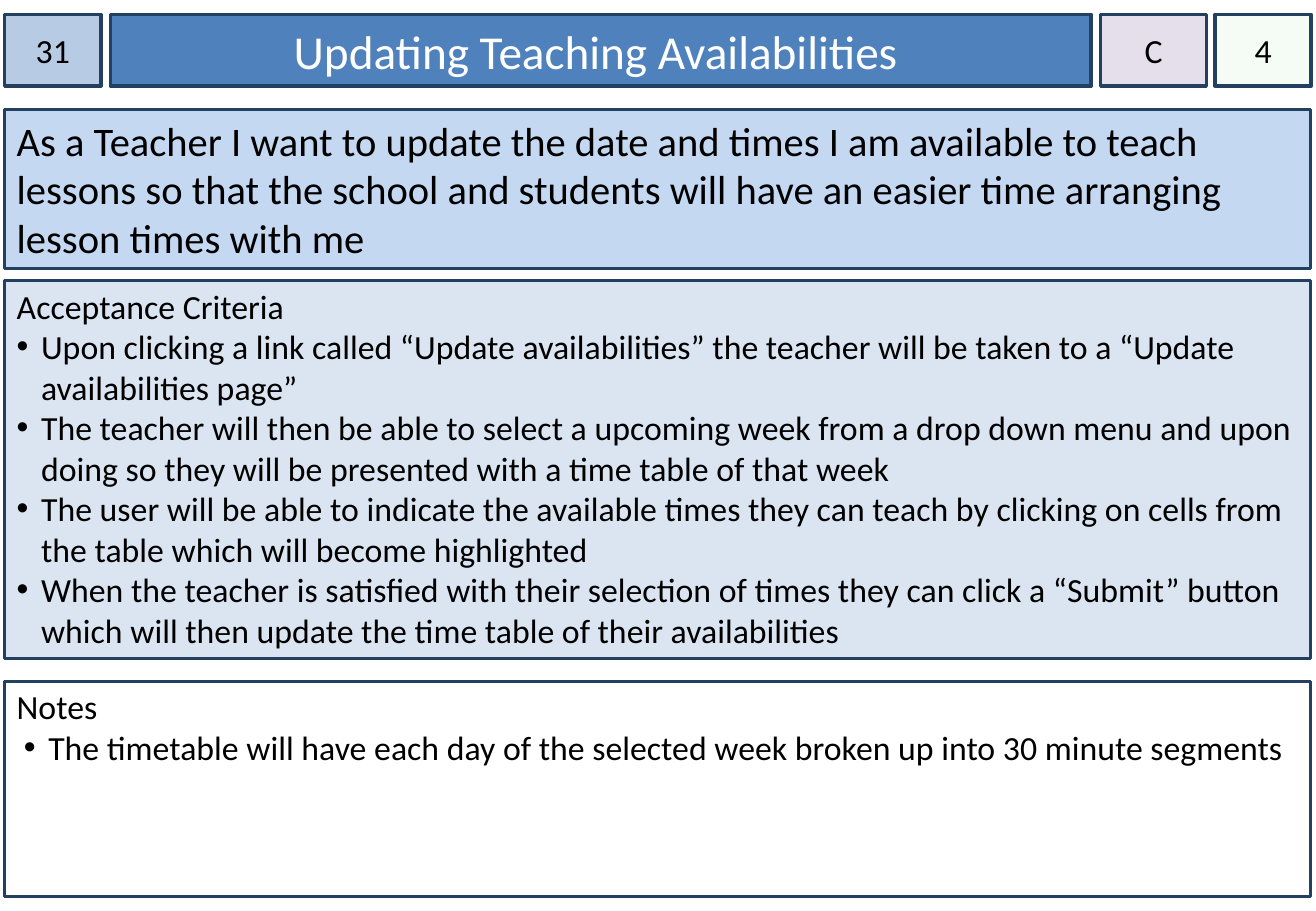
from lxml import etree
from pptx import Presentation
from pptx import util as u
from pptx.dml.color import RGBColor
from pptx.enum import shapes, text
from pptx.oxml.ns import qn

LEFT, WIDTH = 0.1, 27.3
HEADER_TOP, HEADER_HEIGHT = 0.3, 1.5


def colour(value):
    return RGBColor.from_string(value)


def add_panel(place, fill, lines, size=20, ink="000000", centred=False,
              side=0.25, top=0.13, hanging=0.51):
    """Draw a bordered box; every line after the first is a bullet."""
    panel = slide.shapes.add_shape(shapes.MSO_SHAPE.RECTANGLE, *map(u.Cm, place))
    panel.shadow.inherit = False
    panel.fill.solid()
    panel.fill.fore_color.rgb = colour(fill)
    panel.line.color.rgb = colour("244061")
    panel.line.width = u.Pt(2)

    frame = panel.text_frame
    layout = {
        "word_wrap": True,
        "vertical_anchor": text.MSO_ANCHOR.MIDDLE if centred else text.MSO_ANCHOR.TOP,
        "margin_left": u.Cm(side), "margin_right": u.Cm(side),
        "margin_top": u.Cm(top), "margin_bottom": u.Cm(0.13),
    }
    for name, value in layout.items():
        setattr(frame, name, value)

    for number, line in enumerate(lines):
        paragraph = frame.paragraphs[0] if number == 0 else frame.add_paragraph()
        paragraph.alignment = text.PP_ALIGN.CENTER if centred else text.PP_ALIGN.LEFT
        if number > 0:
            properties = paragraph._p.get_or_add_pPr()
            properties.set("marL", str(u.Cm(hanging)))
            properties.set("indent", str(-u.Cm(0.51)))
            etree.SubElement(properties, qn("a:buFont"), typeface="Arial")
            etree.SubElement(properties, qn("a:buChar"), char="•")
        run = paragraph.add_run()
        run.text = line
        for name, value in {"name": "Calibri", "size": u.Pt(size)}.items():
            setattr(run.font, name, value)
        run.font.color.rgb = colour(ink)
    return panel


deck = Presentation()
deck.slide_width, deck.slide_height = u.Cm(27.51), u.Cm(19.05)
slide = deck.slides.add_slide(deck.slide_layouts[6])

# Header: story number, title, priority and estimate
add_panel((2.31, HEADER_TOP, 20.5, HEADER_HEIGHT), "4F81BD",
          ["Updating Teaching Availabilities "], size=28, ink="FFFFFF", centred=True)
badges = [("31", LEFT, 2.01, "B7CCE4"), ("C", 23.01, 2.21, "E5DFEC"),
          ("4", 25.4, 2.01, "CCF0CD")]
for label, left, width, fill in badges:
    badge = add_panel((left, HEADER_TOP, width, HEADER_HEIGHT), fill, [label],
                      centred=True, side=0)

# The estimate, last of the badges, has a translucent fill
tint = badge._element.spPr.find(qn("a:solidFill"))[0]
etree.SubElement(tint, qn("a:alpha"), val="20000")

# User story
add_panel((LEFT, 2.29, WIDTH, 3.33), "C5D8F1", [
    "As a Teacher I want to update the date and times I am available to teach "
    "lessons so that the school and students will have an easier time arranging "
    "lesson times with me",
], size=24)

# Acceptance criteria
add_panel((LEFT, 5.87, WIDTH, 7.9), "DAE5F1", [
    "Acceptance Criteria",
    "Upon clicking a link called “Update availabilities” the teacher will be "
    "taken to a “Update availabilities page”",
    "The teacher will then be able to select a upcoming week from a drop down "
    "menu and upon doing so they will be presented with a time table of that week",
    "The user will be able to indicate the available times they can teach by "
    "clicking on cells from the table which will become highlighted",
    "When the teacher is satisfied with their selection of times they can click "
    "a “Submit” button which will then update the time table of their availabilities",
], top=0.1)

# Notes
add_panel((LEFT, 14.25, WIDTH, 4.5), "FFFFFF", [
    "Notes",
    "The timetable will have each day of the selected week broken up into "
    "30 minute segments",
], top=0.1, hanging=0.66)

deck.save("out.pptx")
